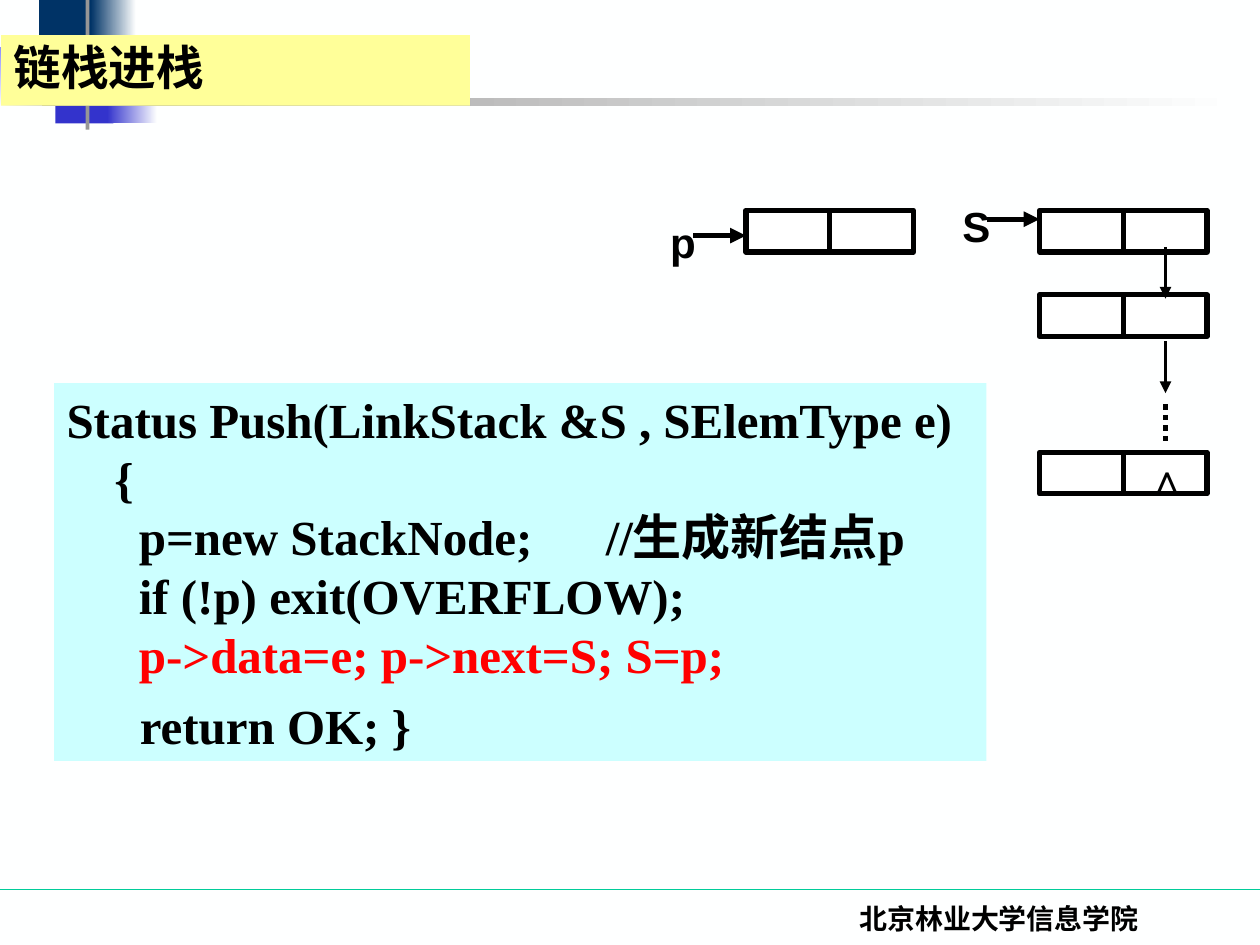
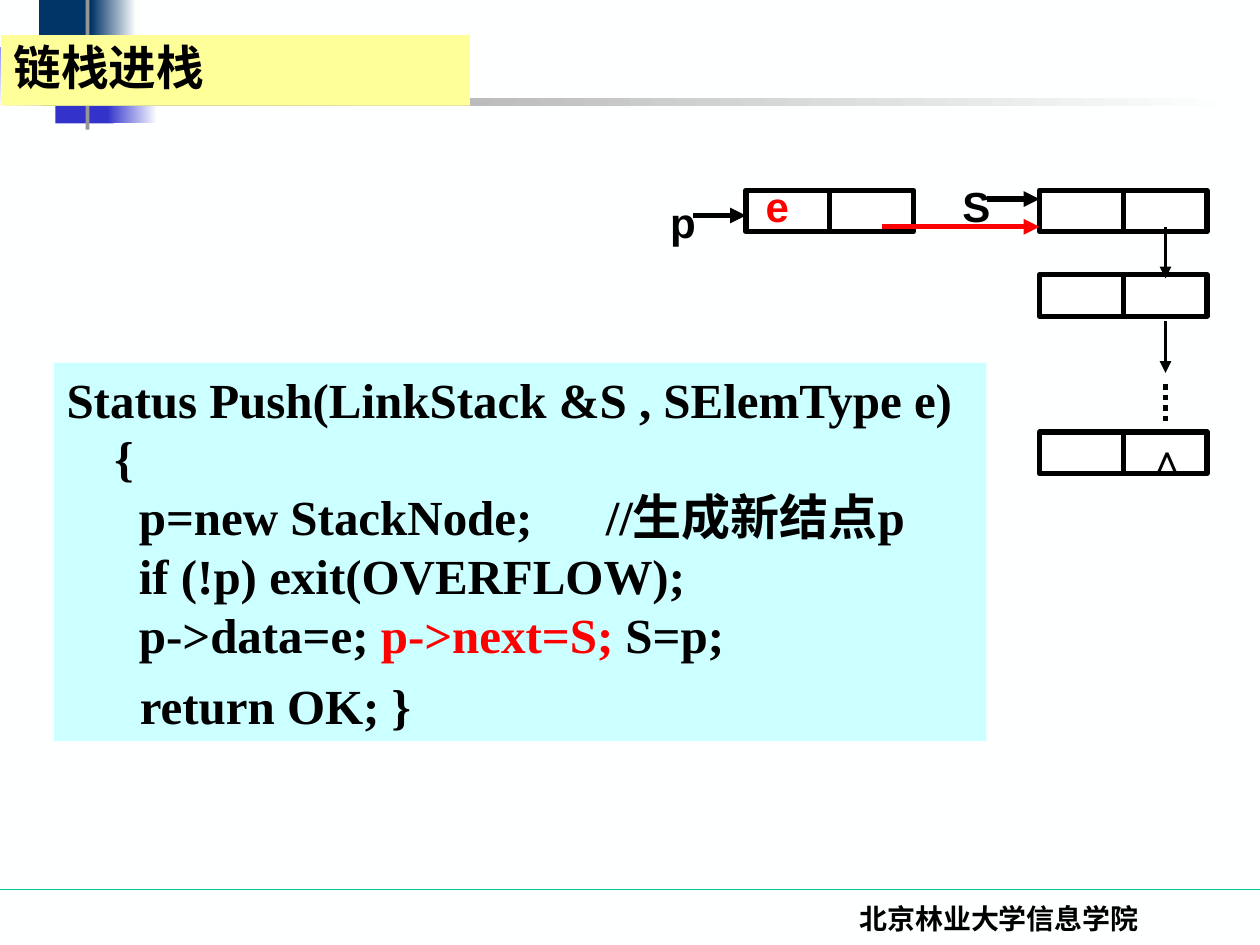
from lxml import etree
from pptx import Presentation
from pptx.dml.color import RGBColor
from pptx.enum.dml import MSO_LINE_DASH_STYLE as Dash
from pptx.enum.shapes import MSO_CONNECTOR as Connector, MSO_SHAPE as Shape
from pptx.enum.text import MSO_ANCHOR as Anchor, PP_ALIGN as Align
from pptx.oxml.ns import qn
from pptx.util import Inches, Pt

BLACK, WHITE, RED, PAPER = "000000", "FFFFFF", "FF0000", "FEFFFF"
NAVY, INDIGO, BLUE, GRAY, GREEN = "003366", "3333CC", "0000FF", "969696", "00CC99"
TITLE_YELLOW, CODE_CYAN = "FFFF99", "CCFFFF"
SERIF, SANS, CHINESE = "Times New Roman", "Arial", "Noto Sans CJK SC"

NODE_WIDTH, NODE_HEIGHT = 1.33, 0.33
NEW_NODE_LEFT, STACK_LEFT = 5.92, 8.25
LINK_X = 9.25

CODE_START = ("Status Push(LinkStack &S , SElemType e)\n{\n"
              "  p=new StackNode;      //生成新结点p\n"
              "  if (!p) exit(OVERFLOW);\n  ")
CODE_END = "      return OK; }"


def color(hex_string):
    return RGBColor.from_string(hex_string)


class Deck:
    """Holds the shared style and the slide being drawn."""

    def __init__(self):
        self.presentation = Presentation()
        self.presentation.slide_width = Inches(10)
        self.presentation.slide_height = Inches(7.5)
        self.slide = None

    def new_slide(self, title):
        self.slide = self.presentation.slides.add_slide(self.presentation.slide_layouts[6])
        background = self.slide.background.fill
        background.solid()
        background.fore_color.rgb = color(PAPER)

        # Footer rule and corner ornament
        self.line(0, 7.06, 10, 7.06, 0.75, GREEN)
        self.box(0.31, 0, 0.48, 0.52, NAVY)
        self.gradient(0.72, 0, 0.36, 0.52, NAVY, PAPER)
        self.box(0.44, 0.46, 0.46, 0.52, INDIGO)
        self.gradient(0.85, 0.46, 0.4, 0.52, INDIGO, PAPER)
        self.gradient(-0.01, 0.38, 0.61, 0.46, PAPER, BLUE, angle=45)
        self.box(0.68, -0.12, 0.03, 1.15, GRAY)
        self.gradient(0.33, 0.78, 9.51, 0.06, GRAY, PAPER)

        # Footer and title
        self.text(5.86, 7.11, 4.14, 0.5, "北京林业大学信息学院", 16, SERIF)
        band = self.box(0.01, 0.28, 3.72, 0.56, TITLE_YELLOW)
        band.text_frame.vertical_anchor = Anchor.MIDDLE
        paragraph = band.text_frame.paragraphs[0]
        paragraph.line_spacing = 0.9
        self.fill_paragraph(paragraph, [(title, BLACK)], 27.2, CHINESE, Align.LEFT)

    def box(self, left, top, width, height, fill, line_width=None):
        shape = self.slide.shapes.add_shape(
            Shape.RECTANGLE, Inches(left), Inches(top), Inches(width), Inches(height))
        shape.shadow.inherit = False
        shape.fill.solid()
        shape.fill.fore_color.rgb = color(fill)
        if line_width:
            shape.line.color.rgb = color(BLACK)
            shape.line.width = Pt(line_width)
        else:
            shape.line.fill.background()
        return shape

    def gradient(self, left, top, width, height, start, end, angle=0):
        fill = self.box(left, top, width, height, start).fill
        fill.gradient()
        fill.gradient_angle = angle
        for stop, position, stop_color in zip(fill.gradient_stops, (0, 1), (start, end)):
            stop.position = position
            stop.color.rgb = color(stop_color)

    def line(self, x1, y1, x2, y2, width=3, line_color=BLACK, arrow=False, dash=None):
        connector = self.slide.shapes.add_connector(
            Connector.STRAIGHT, Inches(x1), Inches(y1), Inches(x2), Inches(y2))
        connector.line.color.rgb = color(line_color)
        connector.line.width = Pt(width)
        if dash:
            connector.line.dash_style = dash
        properties = connector._element.spPr
        if arrow:
            etree.SubElement(properties.find(qn("a:ln")), qn("a:tailEnd"), type="triangle")
        etree.SubElement(properties, qn("a:effectLst"))
        return connector

    def fill_paragraph(self, paragraph, runs, size, font_name, align):
        """Fill a paragraph with (text, color) runs; a newline is a line break."""
        paragraph.alignment = align
        font = paragraph.font
        font.size, font.name, font.bold = Pt(size), font_name, True
        etree.SubElement(font._element, qn("a:ea"), typeface=CHINESE)
        if len(runs) == 1:
            font.color.rgb = color(runs[0][1])
        for text, text_color in runs:
            for index, piece in enumerate(text.split("\n")):
                if index:
                    paragraph.add_line_break()
                run = paragraph.add_run()
                run.text = piece
                if len(runs) > 1:
                    run.font.color.rgb = color(text_color)

    def text(self, left, top, width, height, text, size=24, font_name=SANS, text_color=BLACK):
        shape = self.slide.shapes.add_textbox(
            Inches(left), Inches(top), Inches(width), Inches(height))
        shape.text_frame.word_wrap = True
        self.fill_paragraph(shape.text_frame.paragraphs[0], [(text, text_color)],
                            size, font_name, Align.CENTER)

    def code(self, top, assignments):
        frame = self.box(0.43, top, 7.4, 3, CODE_CYAN).text_frame
        frame.word_wrap = True
        frame.vertical_anchor = Anchor.TOP
        body, ending = frame.paragraphs[0], frame.add_paragraph()
        ending.space_before = Pt(7)
        for paragraph, runs in ((body, [(CODE_START, BLACK)] + assignments),
                                (ending, [(CODE_END, BLACK)])):
            properties = paragraph._p.get_or_add_pPr()
            properties.set("marL", str(Inches(0.38)))
            properties.set("indent", str(Inches(-0.38)))
            self.fill_paragraph(paragraph, runs, 28, SERIF, Align.LEFT)

    def node(self, left, top):
        """A list node: a data cell and a link cell."""
        cell = self.box(left, top, NODE_WIDTH, NODE_HEIGHT, WHITE, 3)
        middle = left + NODE_WIDTH / 2
        divider = self.line(middle, top, middle, top + NODE_HEIGHT)
        divider.begin_connect(cell, 0)
        divider.end_connect(cell, 2)

    def pointer(self, name, label_left, label_top, arrow_y, target):
        self.line(target - 0.42, arrow_y, target, arrow_y, arrow=True)
        self.text(label_left, label_top, 0.5, 0.5, name)

    def linked_stack(self, top):
        # New node with its pointer
        self.node(NEW_NODE_LEFT, top)
        self.pointer("p", 5.17, top, top + 0.2, NEW_NODE_LEFT)

        # Nodes already in the stack
        for offset in (0, 0.67, 1.92):
            self.node(STACK_LEFT, top + offset)
        for offset in (0.29, 1.04):
            self.line(LINK_X, top + offset, LINK_X, top + offset + 0.41, 2.25, arrow=True)
        self.line(LINK_X, top + 1.54, LINK_X, top + 1.87, dash=Dash.ROUND_DOT)
        self.text(9, top + 1.87, 0.5, 0.5, "∧")
        self.pointer("S", 7.5, top - 0.13, top + 0.07, STACK_LEFT)


def main():
    deck = Deck()

    # Slide 1: the three assignments
    deck.new_slide("链栈进栈")
    deck.code(3.04, [("p->data=e; p->next=S; S=p;", RED)])
    deck.linked_stack(1.67)

    # Slide 2: the new node is linked to the top of the stack
    deck.new_slide("链栈进栈")
    deck.code(2.88, [("p->data=e;", BLACK), (" p->next=S; ", RED), ("S=p;", BLACK)])
    deck.linked_stack(1.51)
    deck.line(7, 1.8, STACK_LEFT, 1.8, line_color=RED, arrow=True)
    deck.text(NEW_NODE_LEFT, 1.38, 0.5, 0.5, "e", text_color=RED)

    deck.presentation.save("out.pptx")


if __name__ == "__main__":
    main()
